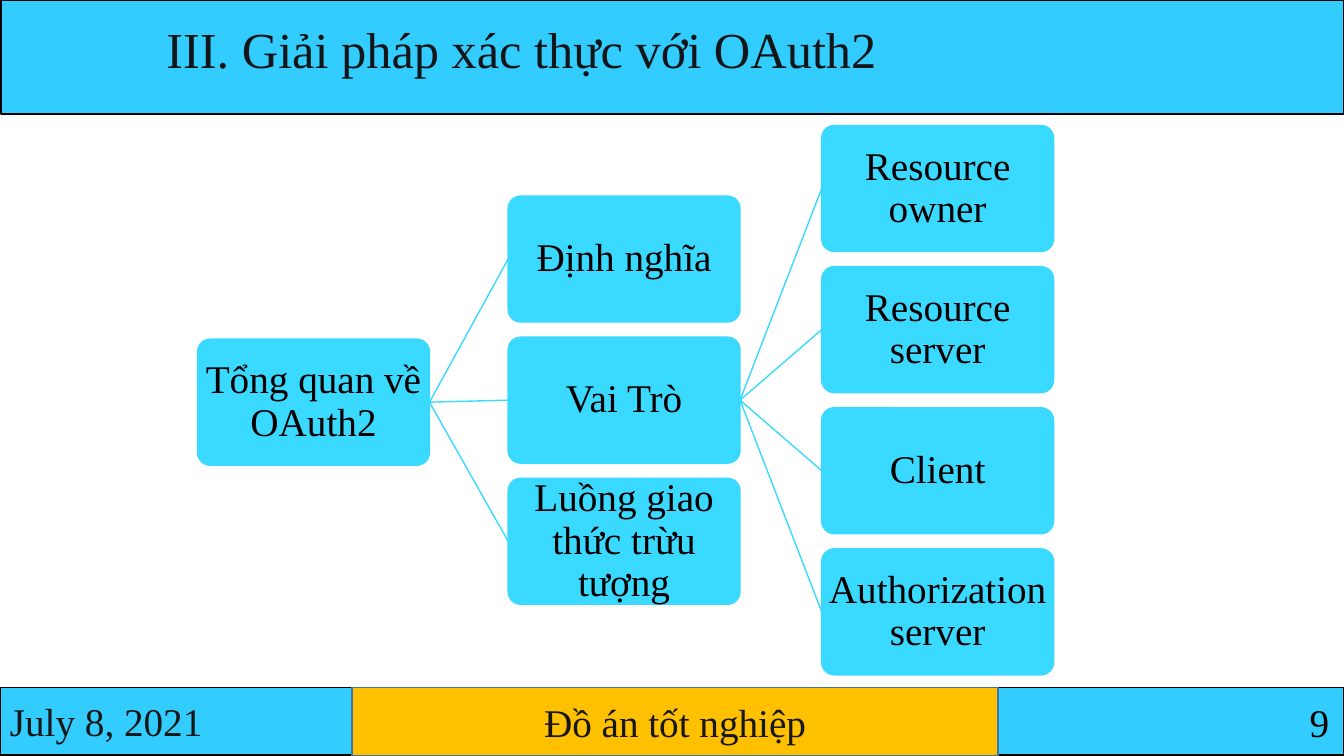
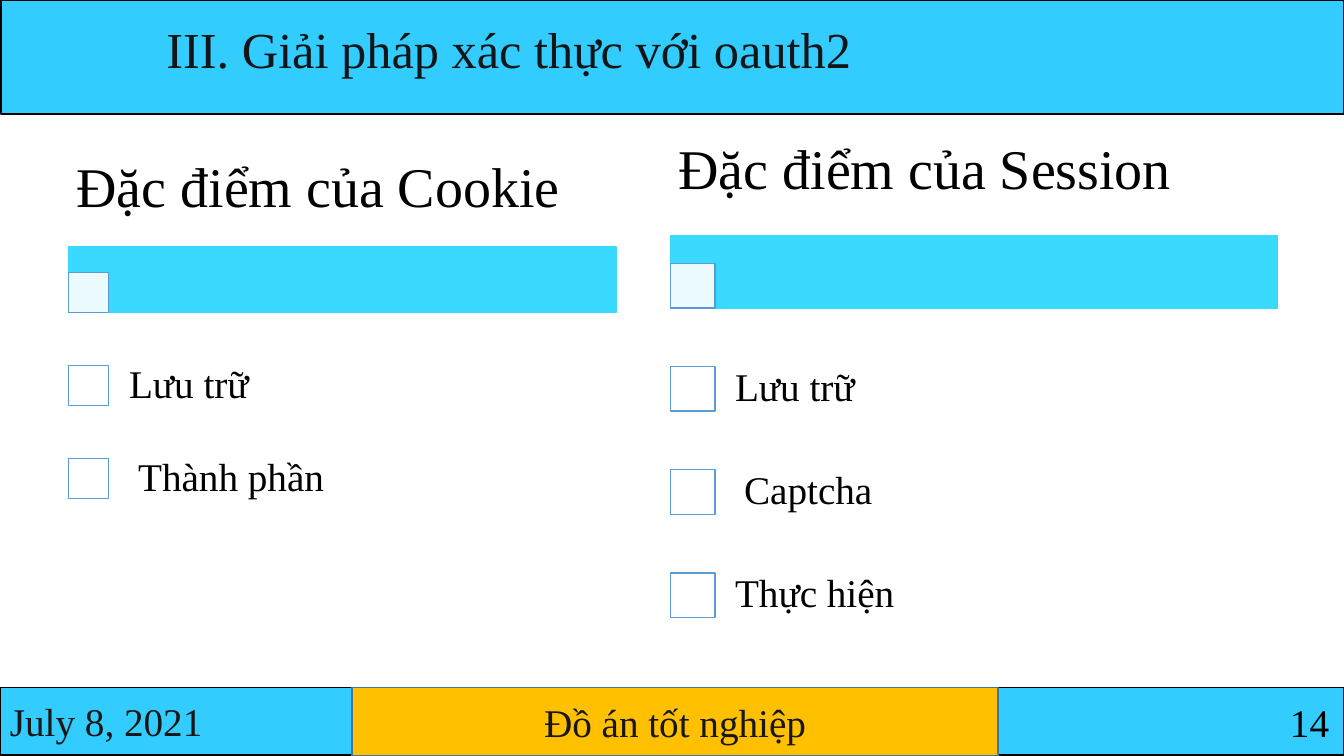
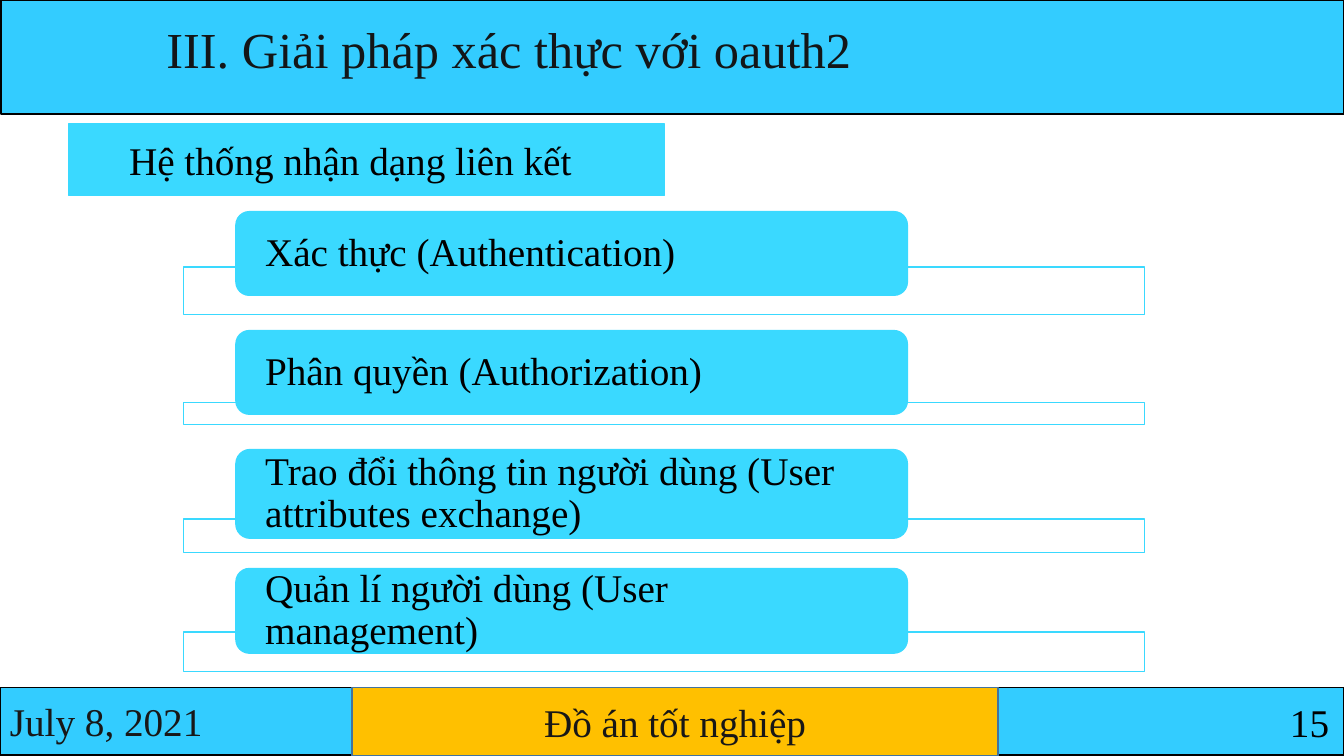
from lxml import etree
from pptx import Presentation
from pptx.dml.color import RGBColor
from pptx.enum.shapes import MSO_CONNECTOR, MSO_SHAPE
from pptx.enum.text import MSO_ANCHOR, MSO_AUTO_SIZE, PP_ALIGN
from pptx.oxml.ns import qn
from pptx.util import Inches, Pt

RECT, ROUND = MSO_SHAPE.RECTANGLE, MSO_SHAPE.ROUNDED_RECTANGLE
LEFT, CENTER, RIGHT = PP_ALIGN.LEFT, PP_ALIGN.CENTER, PP_ALIGN.RIGHT
TOP, MIDDLE = MSO_ANCHOR.TOP, MSO_ANCHOR.MIDDLE
NO_FIT = MSO_AUTO_SIZE.NONE
STRAIGHT = MSO_CONNECTOR.STRAIGHT

FONT = "Times New Roman"
COLORS = {
    "band": "33CCFF",
    "gold": "FFC000",
    "gold_line": "43739E",
    "accent": "3AD9FF",
    "mark_line": "5B9BD5",
    "white": "FFFFFF",
    "black": "000000",
    "title": "131618",
    "footer": "181717",
}
INSETS = (0.1, 0.05, 0.1, 0.05)
TITLE_ONLY = 5


def rgb(name):
    return RGBColor.from_string(COLORS[name])


def write(shape, text, size=28, color="black", align=LEFT, anchor=MIDDLE,
          insets=INSETS, spacing=None):
    frame = shape.text_frame
    frame.word_wrap = True
    frame.auto_size = NO_FIT
    frame.vertical_anchor = anchor
    (frame.margin_left, frame.margin_top,
     frame.margin_right, frame.margin_bottom) = map(Inches, insets)
    frame.text = text
    paragraph = frame.paragraphs[0]
    paragraph.alignment = align
    if spacing:
        paragraph.line_spacing = spacing
    paragraph.font.name = FONT
    paragraph.font.size = Pt(size)
    paragraph.font.bold = False
    paragraph.font.color.rgb = rgb(color)


def add_box(slide, box, fill, line, kind=RECT, opacity=100):
    shape = slide.shapes.add_shape(kind, *map(Inches, box))
    shape.shadow.inherit = False
    shape.fill.solid()
    shape.fill.fore_color.rgb = rgb(fill)
    shape.line.color.rgb = rgb(line)
    shape.line.width = Pt(1)
    if kind == ROUND:
        shape.adjustments[0] = 0.1 if box[3] > 1 else 0.16
    if opacity < 100:
        color = shape.fill._xPr.find(qn("a:solidFill"))[0]
        etree.SubElement(color, qn("a:alpha"), val=str(opacity * 1000))
    return shape


def add_text(slide, box, text, **style):
    write(slide.shapes.add_textbox(*map(Inches, box)), text, **style)


def link(slide, parent, child):
    line = slide.shapes.add_connector(STRAIGHT, 0, 0, 0, 0)
    line.begin_connect(parent, 3)
    line.end_connect(child, 1)
    line.line.color.rgb = rgb("accent")
    line.line.width = Pt(1)
    etree.SubElement(line._element.spPr, qn("a:effectLst"))


def new_slide(prs, title, number):
    """Slide with the shared header, title and footer."""
    slide = prs.slides.add_slide(prs.slide_layouts[TITLE_ONLY])
    # Header band, with the title brought in front of it
    add_box(slide, (0.01, 0, 13.32, 1.13), "band", "black")
    heading = slide.shapes.title
    slide.shapes._spTree.append(heading._element)
    heading.left, heading.top, heading.width, heading.height = map(
        Inches, (1.55, 0.13, 8.03, 0.71))
    write(heading, title, size=36, color="title", anchor=TOP)
    # Footer: date, project, slide number
    date = add_box(slide, (0, 6.82, 13.33, 0.67), "band", "black")
    write(date, "July 8, 2021", color="footer")
    project = add_box(slide, (3.49, 6.82, 6.41, 0.68), "gold", "gold_line")
    write(project, "Đồ án tốt nghiệp", color="footer", align=CENTER)
    add_text(slide, (10.39, 6.88, 2.89, 0.57), str(number),
             align=RIGHT, anchor=TOP)
    return slide


def tree_column(slide, left, center, labels):
    """Stack of equal nodes centred on a height."""
    width, height, gap = 2.3, 1.25, 0.15
    pitch = height + gap
    top = center - (len(labels) * pitch - gap) / 2
    nodes = []
    for row, label in enumerate(labels):
        node = add_box(slide, (left, top + row * pitch, width, height),
                       "accent", "accent", ROUND)
        write(node, label, align=CENTER, insets=(0.01,) * 4, spacing=0.9)
        nodes.append(node)
    return nodes


def overview_slide(prs):
    slide = new_slide(prs, "III. Giải pháp xác thực với OAuth2", 9)
    root, = tree_column(slide, 1.96, 3.99, ["Tổng quan về OAuth2"])
    topics = tree_column(slide, 5.04, 3.97, [
        "Định nghĩa", "Vai Trò", "Luồng giao thức trừu tượng"])
    roles = tree_column(slide, 8.15, 3.97, [
        "Resource owner", "Resource server", "Client",
        "Authorization server"])
    for topic in topics:
        link(slide, root, topic)
    for role in roles:
        link(slide, topics[1], role)


def checklist(slide, left, top, width, heading, items):
    """Heading, bar and check boxes, all in proportion to the width."""
    heading_h, bar_h = 0.21 * width, 0.12 * width
    mark, pitch, indent = 0.4 / 5.43 * width, 0.17 * width, 0.07 * width
    bar_top = top + heading_h
    mark_top = bar_top + bar_h - mark
    add_box(slide, (left, bar_top, width, bar_h), "accent", "accent")
    add_box(slide, (left, mark_top, mark, mark), "white", "mark_line",
            opacity=90)
    add_text(slide, (left, top, width, heading_h), heading, size=40,
             insets=(0.08, 0.06, 0.08, 0.06), spacing=0.9)
    for row, (item, shift) in enumerate(items, 1):
        y = mark_top + row * pitch
        add_box(slide, (left, y, mark, mark), "white", "mark_line")
        add_text(slide, (left + indent, y + (mark - pitch) / 2,
                         width - indent, pitch), item,
                 insets=(0.22 + shift, 0.22, 0.22, 0.22), spacing=0.9)


def features_slide(prs):
    slide = new_slide(prs, "III. Giải pháp xác thực với oauth2", 14)
    checklist(slide, 0.68, 1.31, 5.43, "Đặc điểm của Cookie",
              [("Lưu trữ", 0), ("Thành phần", 0.09)])
    checklist(slide, 6.65, 1.07, 6.02, "Đặc điểm của Session",
              [("Lưu trữ", 0), ("Captcha", 0.09), ("Thực hiện", 0)])


def service_card(slide, left, top, height, frame_drop, frame_h, label):
    """Rounded label lying over a thin outlined frame."""
    add_box(slide, (left, top + frame_drop, 9.53, frame_h),
            "white", "accent", opacity=90)
    card = add_box(slide, (left + 0.52, top, 6.66, height),
                   "accent", "accent", ROUND)
    write(card, label, insets=(0.25, 0, 0.25, 0), spacing=0.9)


def identity_slide(prs):
    slide = new_slide(prs, "III. Giải pháp xác thực với oauth2", 15)
    subtitle = add_box(slide, (0.68, 1.23, 5.91, 0.71), "accent", "accent")
    write(subtitle, "Hệ thống nhận dạng liên kết",
          insets=(0.6, 0.05, 0.1, 0.05))
    # Card height, frame drop, frame height, label
    services = [
        (0.83, 0.55, 0.47, "Xác thực (Authentication)"),
        (0.83, 0.71, 0.22, "Phân quyền (Authorization)"),
        (0.88, 0.69, 0.33,
         "Trao đổi thông tin người dùng (User attributes exchange)"),
        (0.84, 0.63, 0.39, "Quản lí người dùng (User management)"),
    ]
    for row, service in enumerate(services):
        service_card(slide, 1.82, 2.1 + row * 1.18, *service)


def main():
    prs = Presentation()
    prs.slide_width, prs.slide_height = Inches(13.33), Inches(7.5)
    overview_slide(prs)
    features_slide(prs)
    identity_slide(prs)
    prs.save("out.pptx")


if __name__ == "__main__":
    main()
